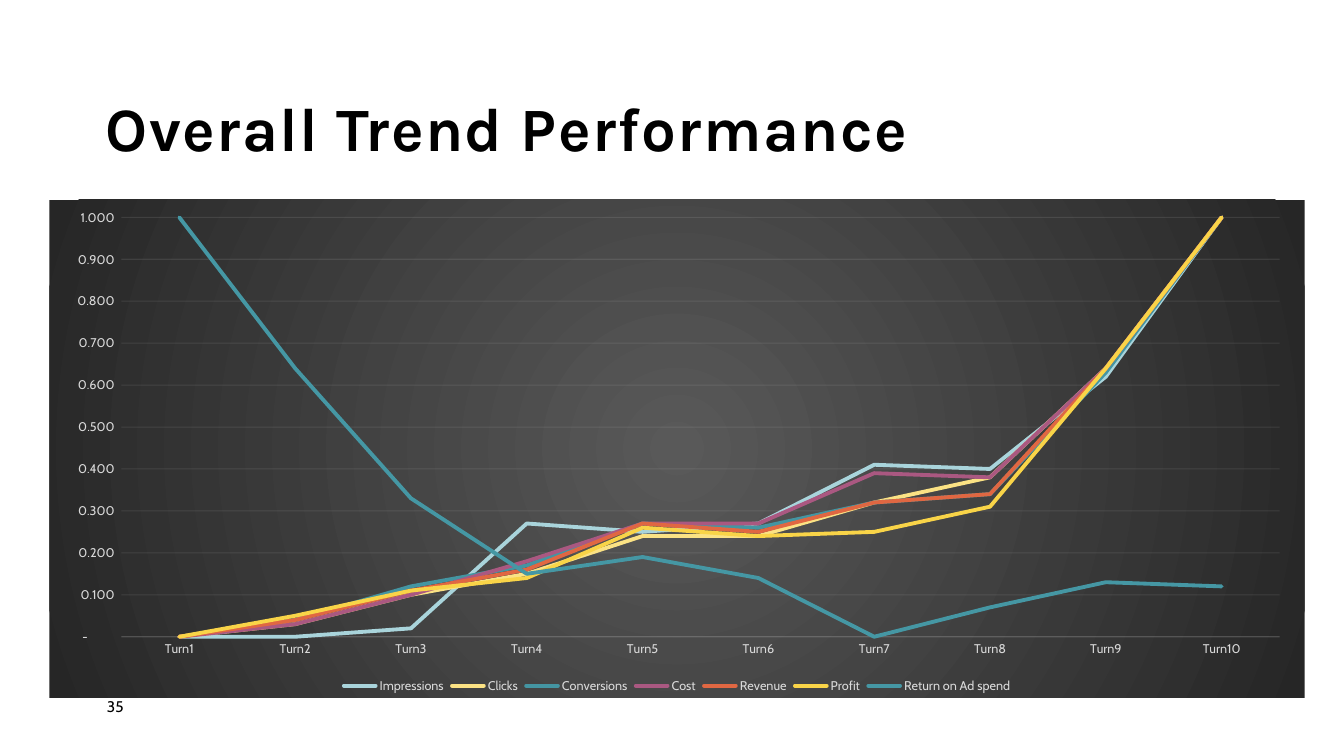
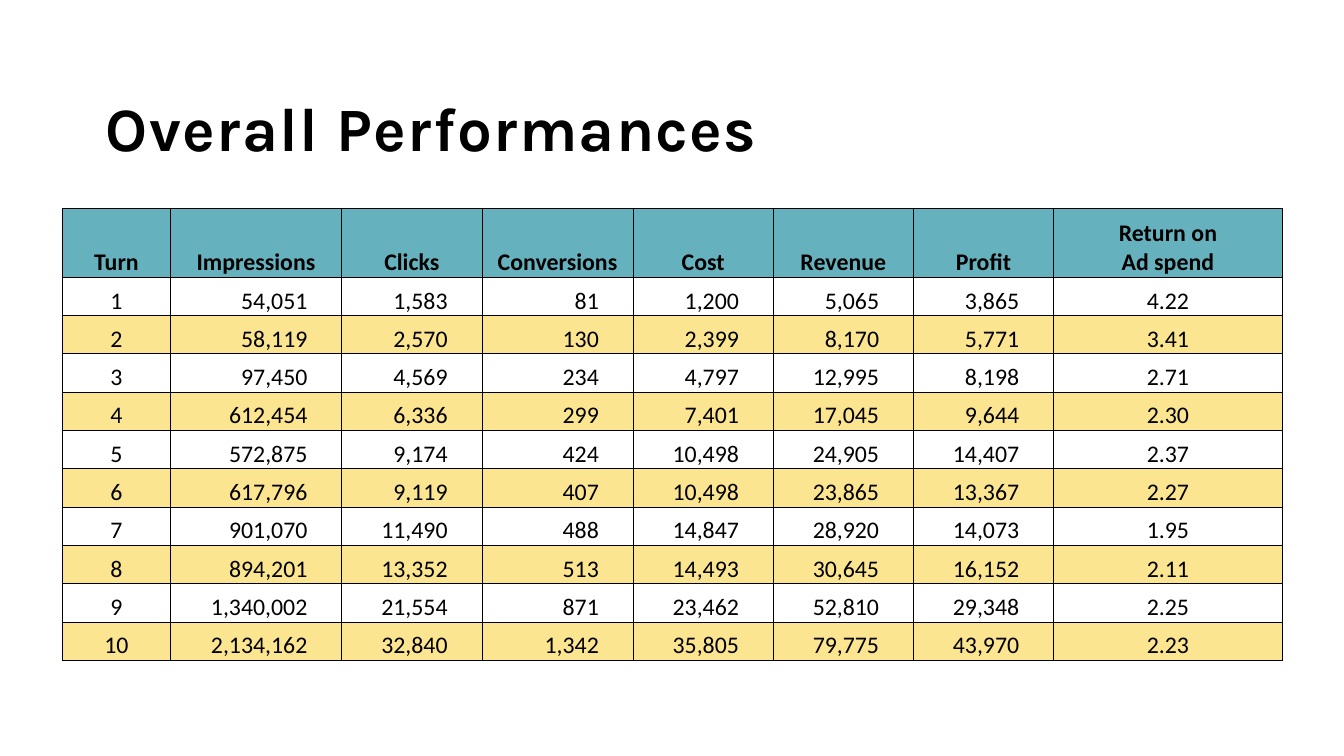
from dataclasses import dataclass

from lxml.etree import SubElement
from pptx import Presentation
from pptx.chart.data import CategoryChartData
from pptx.dml.color import RGBColor
from pptx.enum.chart import XL_CHART_TYPE as ChartType
from pptx.enum.chart import XL_LEGEND_POSITION as LegendPosition
from pptx.enum.chart import XL_TICK_MARK as TickMark
from pptx.enum.text import MSO_ANCHOR as Anchor
from pptx.enum.text import PP_ALIGN as Align
from pptx.oxml import parse_xml
from pptx.oxml.ns import nsdecls, qn
from pptx.util import Inches, Pt


@dataclass(frozen=True)
class Theme:
    # Colours
    ink: str = "000000"
    paper: str = "FFFFFF"
    header: str = "65B2BE"
    band: str = "FBE591"
    axis_text: str = "D9D9D9"
    grid: str = "F2F2F2"
    glow: str = "595959"
    dusk: str = "262626"
    series: tuple = ("A9D4DB", "FBE284", "4495A2", "AA5881", "E06742", "F9D448", "4597A4")
    # Fonts and sizes
    title_font: str = "Karla"
    body_font: str = "Cabin"
    table_font: str = "Calibri"
    title_size: float = 44
    number_size: float = 11
    axis_size: float = 9
    table_size: float = 17
    # Lines
    series_width: float = 2.75
    grid_width: float = 0.75
    border_width: float = 0.5


# Campaign results, one row per turn
MEASURES = ("Impressions", "Clicks", "Conversions", "Cost", "Revenue", "Profit", "Return on Ad spend")
RESULTS = (
    (54051, 1583, 81, 1200, 5065, 3865, 4.22),
    (58119, 2570, 130, 2399, 8170, 5771, 3.41),
    (97450, 4569, 234, 4797, 12995, 8198, 2.71),
    (612454, 6336, 299, 7401, 17045, 9644, 2.30),
    (572875, 9174, 424, 10498, 24905, 14407, 2.37),
    (617796, 9119, 407, 10498, 23865, 13367, 2.27),
    (901070, 11490, 488, 14847, 28920, 14073, 1.95),
    (894201, 13352, 513, 14493, 30645, 16152, 2.11),
    (1340002, 21554, 871, 23462, 52810, 29348, 2.25),
    (2134162, 32840, 1342, 35805, 79775, 43970, 2.23),
)


def scaled(values):
    """Stretch the values over the range 0 to 1."""
    low, high = min(values), max(values)
    return [round((value - low) / (high - low), 2) for value in values]


class Deck:
    def __init__(self, theme):
        self.theme = theme
        self.show = Presentation()
        self.show.slide_width, self.show.slide_height = Inches(13.33), Inches(7.5)
        self.slide = None

    def add_slide(self, title):
        self.slide = self.show.slides.add_slide(self.show.slide_layouts[6])
        background = self.slide.background.fill
        background.solid()
        background.fore_color.rgb = RGBColor.from_string(self.theme.paper)
        heading = self.text(title, (1.05, 0.22, 11.32, 1.41), self.theme.title_font,
                            self.theme.title_size, bold=True, anchor=Anchor.BOTTOM)
        heading.line_spacing = 0.9
        heading.font._element.set("spc", "100")

    def style(self, font, name, size, color, bold=False):
        font.name, font.size, font.bold = name, Pt(size), bold
        font.color.rgb = RGBColor.from_string(color)

    def text(self, words, box, font, size, bold=False, anchor=Anchor.TOP):
        frame = self.slide.shapes.add_textbox(*map(Inches, box)).text_frame
        frame.word_wrap, frame.vertical_anchor = True, anchor
        frame.margin_left = frame.margin_right = frame.margin_top = frame.margin_bottom = 0
        paragraph = frame.paragraphs[0]
        paragraph.text = words
        self.style(paragraph.font, font, size, self.theme.ink, bold)
        return paragraph

    def page_number(self, number):
        self.text(number, (1.06, 6.92, 0.57, 0.27), self.theme.body_font, self.theme.number_size)

    # Line chart
    def faint_line(self, line_format):
        line = line_format.line
        line.width = Pt(self.theme.grid_width)
        line.color.rgb = RGBColor.from_string(self.theme.grid)
        for color in line_format.element.xpath("./c:spPr/a:ln//a:srgbClr"):
            SubElement(color, qn("a:alpha"), val="10000")

    def glowing_backdrop(self, chart):
        stops = "".join(
            f'<a:gs pos="{place}"><a:srgbClr val="{color}"/></a:gs>'
            for place, color in ((0, self.theme.glow), (100000, self.theme.dusk)))
        chart.element.find(qn("c:chart")).addnext(parse_xml(
            f'<c:spPr {nsdecls("c", "a")}><a:gradFill><a:gsLst>{stops}</a:gsLst>'
            '<a:path path="circle"><a:fillToRect l="50000" t="50000" r="50000" b="50000"/></a:path>'
            '</a:gradFill><a:ln><a:noFill/></a:ln></c:spPr>'))

    def line_chart(self, box, categories, series):
        theme = self.theme
        data = CategoryChartData()
        data.categories = categories
        for name, values in series:
            data.add_series(name, values)
        chart = self.slide.shapes.add_chart(ChartType.LINE, *map(Inches, box), data).chart
        chart.has_title = False
        self.style(chart.font, theme.body_font, theme.axis_size, theme.axis_text)
        self.glowing_backdrop(chart)

        chart.has_legend = True
        chart.legend.position = LegendPosition.BOTTOM
        chart.legend.include_in_layout = False

        for axis in (chart.category_axis, chart.value_axis):
            axis.major_tick_mark = axis.minor_tick_mark = TickMark.NONE
            self.style(axis.tick_labels.font, theme.body_font, theme.axis_size, theme.axis_text)
        self.faint_line(chart.category_axis.format)
        scale = chart.value_axis
        scale.minimum_scale, scale.maximum_scale, scale.major_unit = 0, 1, 0.1
        scale.format.line.fill.background()
        self.faint_line(scale.major_gridlines.format)
        scale.tick_labels.number_format = r'_(* #,##0.000_);_(* \(#,##0.000\);_(* "-"???_);_(@_)'
        scale.tick_labels.number_format_is_linked = False

        chart.plots[0].vary_by_categories = False
        for trend, color in zip(chart.plots[0].series, theme.series):
            trend.smooth = False
            trend.format.line.width = Pt(theme.series_width)
            trend.format.line.color.rgb = RGBColor.from_string(color)
            trend.format.element.xpath("./c:spPr/a:ln")[0].set("cap", "rnd")

    # Table
    def borders(self, cell):
        properties = cell._tc.get_or_add_tcPr()
        for side in ("lnL", "lnR", "lnT", "lnB"):
            edge = SubElement(properties, qn(f"a:{side}"), w=str(Pt(self.theme.border_width)))
            SubElement(SubElement(edge, qn("a:solidFill")), qn("a:srgbClr"), val=self.theme.ink)

    def cell(self, cell, words, fill, align, right_margin, bold):
        self.borders(cell)
        cell.fill.solid()
        cell.fill.fore_color.rgb = RGBColor.from_string(fill)
        cell.vertical_anchor = Anchor.BOTTOM
        cell.margin_left = cell.margin_top = Inches(0.01)
        cell.margin_right, cell.margin_bottom = Inches(right_margin), 0
        paragraph = cell.text_frame.paragraphs[0]
        paragraph.text, paragraph.alignment = words, align
        self.style(paragraph.font, self.theme.table_font, self.theme.table_size, self.theme.ink, bold)

    def table(self, box, rows, widths, heights):
        theme = self.theme
        table = self.slide.shapes.add_table(len(rows), len(widths), *map(Inches, box)).table
        table.first_row = table.horz_banding = False
        for column, width in zip(table.columns, widths):
            column.width = Inches(width)
        for row, height in zip(table.rows, heights):
            row.height = Inches(height)
        for r, row in enumerate(rows):
            fill = theme.header if r == 0 else theme.paper if r % 2 else theme.band
            for c, words in enumerate(row):
                # Amounts line up on the right; headings and outer columns are centred
                amount = r > 0 and 0 < c < len(row) - 1
                align, margin = (Align.RIGHT, 0.34) if amount else (Align.CENTER, 0.01)
                self.cell(table.cell(r, c), words, fill, align, margin, bold=r == 0)


def main():
    deck = Deck(Theme())

    # Trend of every measure
    deck.add_slide("Overall Trend Performance")
    deck.page_number("35")
    turns = [f"Turn{turn}" for turn in range(1, len(RESULTS) + 1)]
    trends = [(name, scaled(values)) for name, values in zip(MEASURES, zip(*RESULTS))]
    deck.line_chart((0.49, 1.98, 12.45, 4.94), turns, trends)

    # Figures behind the trend
    deck.add_slide("Overall Performances")
    headings = ["Turn", *MEASURES[:-1], "Return on\vAd spend"]
    figures = [[str(turn), *(f"{amount:,}" for amount in amounts), f"{ratio:.2f}"]
               for turn, (*amounts, ratio) in enumerate(RESULTS, 1)]
    deck.table((0.62, 2.07, 12.1, 4.46), [headings, *figures],
               widths=(1.07, 1.7, 1.39, 1.5, 1.39, 1.39, 1.39, 2.27),
               heights=[0.68] + [0.38] * len(figures))

    deck.show.save("out.pptx")


if __name__ == "__main__":
    main()
